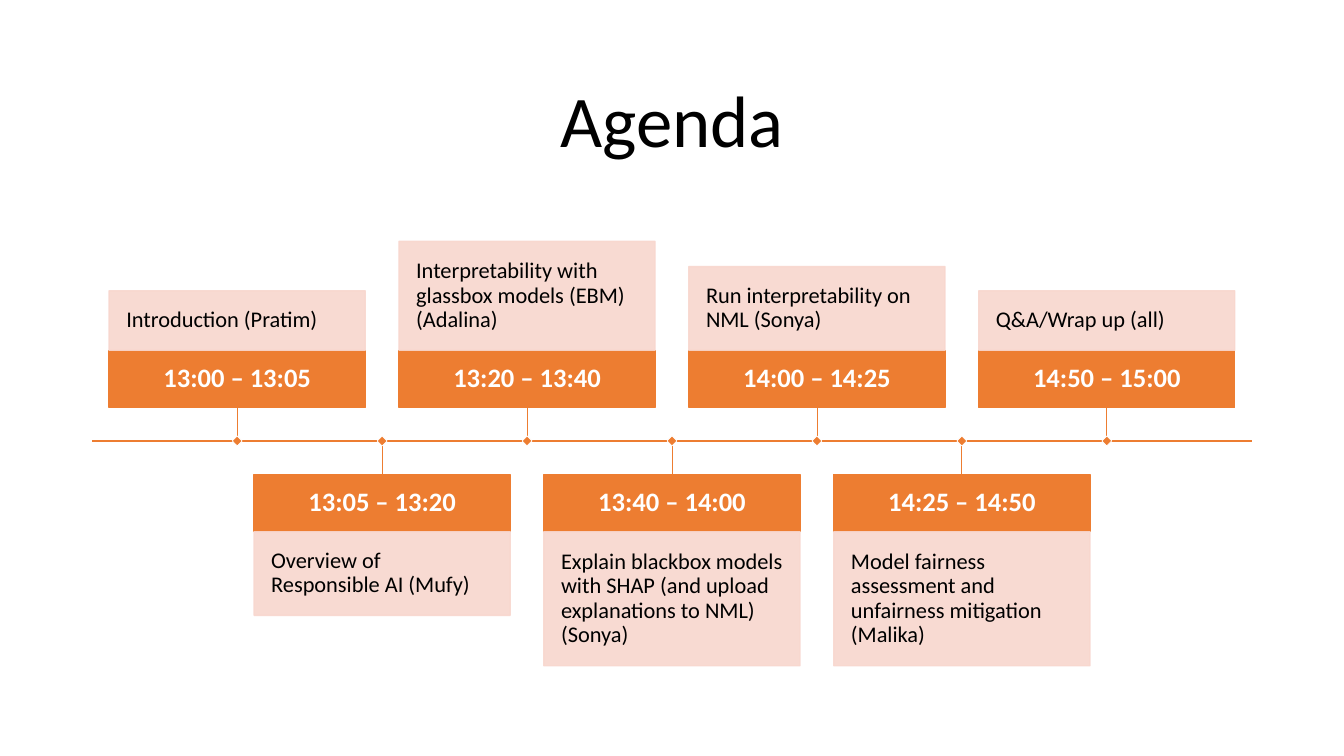
import pptx
import pptx.util
import pptx.dml.color
import pptx.enum.shapes
import pptx.enum.text
import pptx.oxml
import pptx.oxml.ns

Inches = pptx.util.Inches
RGBColor = pptx.dml.color.RGBColor
PP_ALIGN = pptx.enum.text.PP_ALIGN

ORANGE = RGBColor(0xED, 0x7D, 0x31)
PEACH = RGBColor(0xF8, 0xD7, 0xCE)
WHITE = RGBColor(0xFF, 0xFF, 0xFF)
BLACK = RGBColor(0x00, 0x00, 0x00)

SLIDE_WIDTH, SLIDE_HEIGHT = 13.33, 7.5
CARD_WIDTH = 2.54
TIME_HEIGHT = 0.57
STEM_LENGTH = 0.33
MARKER_SIZE = 0.07

TITLE_FORMAT = {"size": pptx.util.Pt(52), "color": BLACK, "bold": False}
TIME_FORMAT = {"size": pptx.util.Pt(19), "color": WHITE, "bold": True}
TOPIC_FORMAT = {"size": pptx.util.Pt(16), "color": BLACK, "bold": False}

# Time, topic and height of the topic box; sessions alternate above and below the axis
SESSIONS = [
    ("13:00 – 13:05", "Introduction (Pratim)", 0.59),
    ("13:05 – 13:20", "Overview of Responsible AI (Mufy)", 0.83),
    ("13:20 – 13:40", "Interpretability with glassbox models (EBM) (Adalina)", 1.08),
    ("13:40 – 14:00", "Explain blackbox models with SHAP (and upload explanations to NML) (Sonya)", 1.33),
    ("14:00 – 14:25", "Run interpretability on NML (Sonya)", 0.83),
    ("14:25 – 14:50", "Model fairness assessment and unfairness mitigation (Malika)", 1.33),
    ("14:50 – 15:00", "Q&A/Wrap up (all)", 0.59),
]


def write_text(shape, text, font_format, alignment, inset):
    frame = shape.text_frame
    frame.text = text
    frame_format = {
        "word_wrap": True,
        "auto_size": pptx.enum.text.MSO_AUTO_SIZE.NONE,
        "vertical_anchor": pptx.enum.text.MSO_ANCHOR.MIDDLE,
    }
    for side in ("left", "top", "right", "bottom"):
        frame_format[f"margin_{side}"] = Inches(inset)
    for name, value in frame_format.items():
        setattr(frame, name, value)
    paragraph = frame.paragraphs[0]
    paragraph.alignment = alignment
    paragraph.line_spacing = 0.9
    font = paragraph.runs[0].font
    font.name = "Calibri"
    for name, value in font_format.items():
        if name == "color":
            font.color.rgb = value
        else:
            setattr(font, name, value)


def add_rectangle(slide, box, fill, line, line_width):
    shape = slide.shapes.add_shape(
        pptx.enum.shapes.MSO_SHAPE.RECTANGLE, *map(Inches, box))
    shape.shadow.inherit = False
    shape.fill.solid()
    shape.fill.fore_color.rgb = fill
    shape.line.color.rgb = line
    shape.line.width = pptx.util.Pt(line_width)
    return shape


def set_opacity(shape, percent):
    """Apply the opacity to both the fill and the outline."""
    for color in shape._element.spPr.iter(pptx.oxml.ns.qn("a:srgbClr")):
        alpha = color.makeelement(pptx.oxml.ns.qn("a:alpha"), {"val": str(percent * 1000)})
        color.append(alpha)


def add_line(slide, start, end, width):
    connector = slide.shapes.add_connector(
        pptx.enum.shapes.MSO_CONNECTOR.STRAIGHT, *map(Inches, start + end))
    connector.line.color.rgb = ORANGE
    connector.line.width = pptx.util.Pt(width)
    properties = connector._element.spPr
    properties.append(properties.makeelement(pptx.oxml.ns.qn("a:effectLst"), {}))


def add_title(slide, box, text):
    title = slide.shapes.title
    title.left, title.top, title.width, title.height = map(Inches, box)
    write_text(title, text, TITLE_FORMAT, PP_ALIGN.CENTER, 0.1)


def add_session(slide, center, axis, above, session):
    """Place one stem, time box, topic box and marker around a point on the axis."""
    time, topic, topic_height = session
    left = center - CARD_WIDTH / 2
    if above:
        stem_end = axis - STEM_LENGTH
        time_top = stem_end - TIME_HEIGHT
        topic_top = time_top - topic_height
    else:
        stem_end = time_top = axis + STEM_LENGTH
        topic_top = time_top + TIME_HEIGHT

    time_box = add_rectangle(slide, (left, time_top, CARD_WIDTH, TIME_HEIGHT), ORANGE, ORANGE, 1)
    write_text(time_box, time, TIME_FORMAT, PP_ALIGN.CENTER, 0.11)
    topic_box = add_rectangle(slide, (left, topic_top, CARD_WIDTH, topic_height), PEACH, PEACH, 1)
    set_opacity(topic_box, 90)
    write_text(topic_box, topic, TOPIC_FORMAT, PP_ALIGN.LEFT, 0.17)

    add_line(slide, (center, axis), (center, stem_end), 0.5)
    corner = (center - MARKER_SIZE / 2, axis - MARKER_SIZE / 2)
    marker = add_rectangle(slide, corner + (MARKER_SIZE, MARKER_SIZE), ORANGE, WHITE, 0.5)
    marker.rotation = 45


def add_timeline(slide, box, sessions):
    """Draw the axis at mid-height of the box with evenly spaced sessions."""
    left, top, width, height = box
    axis = top + height / 2
    pitch = width / (len(sessions) + 1)
    add_line(slide, (left, axis), (left + width, axis), 1)
    for index, session in enumerate(sessions):
        add_session(slide, left + pitch * (index + 1), axis, index % 2 == 0, session)


def main():
    presentation = pptx.Presentation()
    presentation.slide_width = Inches(SLIDE_WIDTH)
    presentation.slide_height = Inches(SLIDE_HEIGHT)
    slide = presentation.slides.add_slide(presentation.slide_layouts[5])
    content_width = 11.5
    left = (SLIDE_WIDTH - content_width) / 2
    add_title(slide, (left, 0.61, content_width, 1.24), "Agenda")
    add_timeline(slide, (left, 2.15, content_width, 4.45), SESSIONS)
    presentation.save("out.pptx")


if __name__ == "__main__":
    main()
